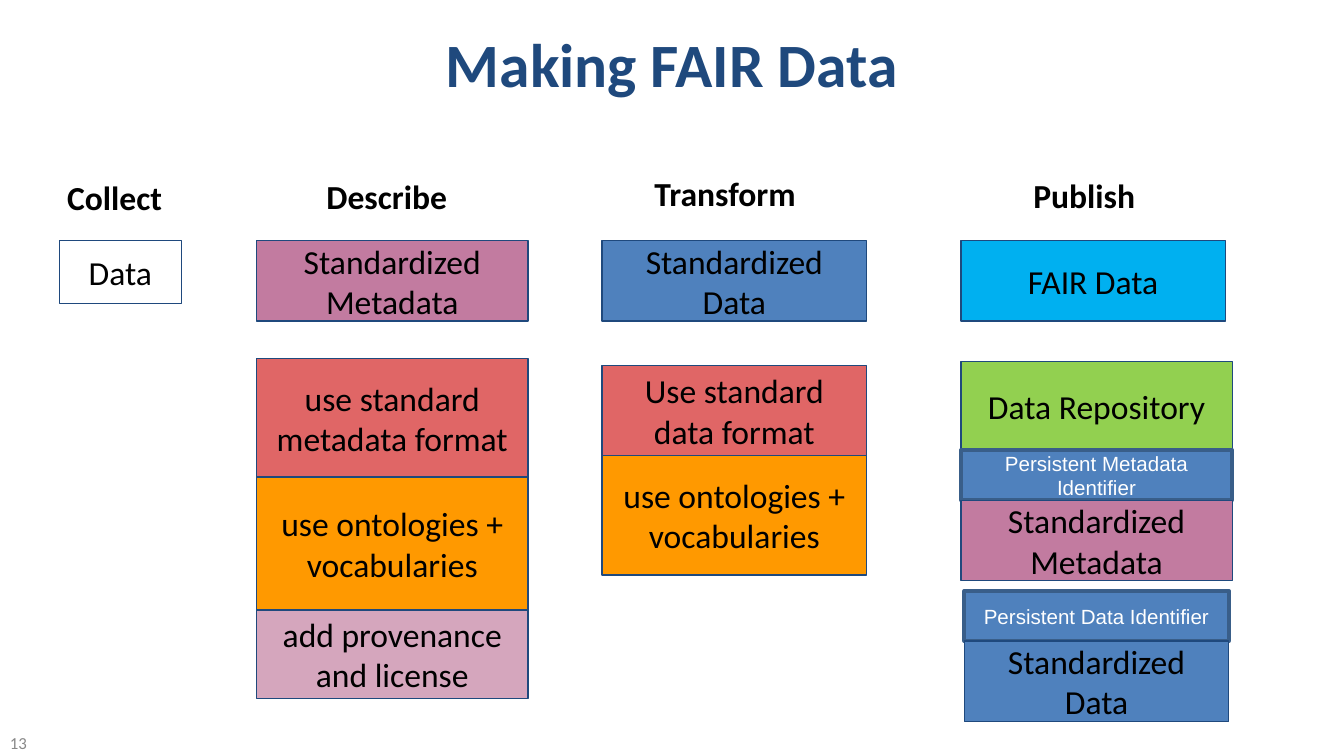
from pptx import Presentation
from pptx.dml.color import RGBColor
from pptx.enum.shapes import MSO_SHAPE
from pptx.enum.text import MSO_ANCHOR, PP_ALIGN
from pptx.util import Cm, Pt

COLORS = {
    "navy": "1F497D", "black": "000000", "white": "FFFFFF", "gray": "888888",
    "red": "E06666", "orange": "FF9900", "mauve": "C27BA0", "pink": "D5A6BD",
    "blue": "4F81BD", "dark blue": "395E89", "sky": "00B0F0", "green": "92D050",
}
WIDE_INSET = (0.25, 0.25)
TIGHT_INSET = (0.19, 0.1)
ROW_TOP = 4.55
ROW_HEIGHT = 1.52
HEADING_HEIGHT = 1.27


def color(name):
    return RGBColor.from_string(COLORS[name])


def write(shape, text, size=18, font="Calibri", ink="black", bold=False,
          align=PP_ALIGN.CENTER, anchor=MSO_ANCHOR.MIDDLE, inset=WIDE_INSET):
    """Fill a shape with text, one paragraph for each line."""
    frame = shape.text_frame
    frame.word_wrap = True
    frame.vertical_anchor = anchor
    frame.margin_left = frame.margin_right = Cm(inset[0])
    frame.margin_top = frame.margin_bottom = Cm(inset[1])
    for index, line in enumerate(text.split("\n")):
        para = frame.paragraphs[0] if index == 0 else frame.add_paragraph()
        para.alignment = align
        span = para.add_run()
        span.text = line
        span.font.name = font
        span.font.size = Pt(size)
        span.font.bold = bold
        span.font.color.rgb = color(ink)


def add_text(page, box, text, **style):
    write(page.shapes.add_textbox(*map(Cm, box)), text, **style)


def add_block(page, box, text, fill, outline="navy", weight=0.75, **style):
    block = page.shapes.add_shape(MSO_SHAPE.RECTANGLE, *map(Cm, box))
    block.shadow.inherit = False
    block.fill.solid()
    block.fill.fore_color.rgb = color(fill)
    block.line.color.rgb = color(outline)
    block.line.width = Pt(weight)
    write(block, text, **style)


def add_identifier(page, box, text):
    add_block(page, box, text, "blue", outline="dark blue", weight=2,
              size=11, font="Arial", ink="white", inset=TIGHT_INSET)


def add_stack(page, left, top, width, parts):
    """Pile blocks downwards without gaps; a part without a fill is an identifier."""
    for text, fill, height in parts:
        box = (left, top, width, height)
        if fill:
            add_block(page, box, text, fill)
        else:
            add_identifier(page, box, text)
        top += height


def add_title(page, box):
    title = page.shapes.title
    title.left, title.top, title.width, title.height = map(Cm, box)
    write(title, "Making FAIR Data", size=33, ink="navy", bold=True, inset=TIGHT_INSET)


def add_stage(page, heading, heading_box, result, result_box, fill):
    """Heading of a step with the result it yields."""
    add_text(page, (*heading_box, HEADING_HEIGHT), heading, bold=True,
             align=PP_ALIGN.LEFT, anchor=MSO_ANCHOR.TOP)
    add_block(page, result_box, result, fill)


def add_collect(page, left):
    add_stage(page, "Collect", (1.02, 3.1, 2.87),
              "Data", (left, ROW_TOP, 2.31, 1.19), "white")


def add_describe(page, left, width):
    add_stage(page, "Describe", (5.92, 3.07, 2.87),
              "Standardized Metadata", (left, ROW_TOP, width, ROW_HEIGHT), "mauve")
    add_stack(page, left, 6.78, width, [
        ("use standard\nmetadata format", "red", 2.24),
        ("use ontologies + vocabularies", "orange", 2.51),
        ("add provenance and license", "pink", 1.68),
    ])


def add_transform(page, left, width):
    add_stage(page, "Transform", (12.12, 3.02, 3.5),
              "Standardized Data", (left, ROW_TOP, width, ROW_HEIGHT), "blue")
    add_stack(page, left, 6.91, width, [
        ("Use standard\ndata format", "red", 1.7),
        ("use ontologies + vocabularies", "orange", 2.26),
    ])


def add_publish(page, left, width):
    narrow = 5
    add_stage(page, "Publish", (19.28, 3.05, 2.87),
              "FAIR Data", (left, ROW_TOP, narrow, ROW_HEIGHT), "sky")
    add_stack(page, left, 6.83, width, [
        ("Data Repository", "green", 1.68),
        ("Persistent Metadata Identifier", None, 0.95),
        ("Standardized Metadata", "mauve", ROW_HEIGHT),
    ])
    add_stack(page, left + (width - narrow) / 2, 11.17, narrow, [
        ("Persistent Data Identifier", None, 0.95),
        ("Standardized Data", "blue", ROW_HEIGHT),
    ])


def main():
    deck = Presentation()
    deck.slide_width, deck.slide_height = Cm(25.4), Cm(14.29)
    page = deck.slides.add_slide(deck.slide_layouts[5])

    add_title(page, (1.27, 0, 22.86, 2.39))
    # The four steps, from left to right
    add_collect(page, 1.12)
    add_describe(page, 4.85, 5.13)
    add_transform(page, 11.38, 5)
    add_publish(page, 18.16, 5.13)
    # Page number
    add_text(page, (0, 13.82, 5.92, 0.46), "13", size=9, ink="gray",
             align=PP_ALIGN.LEFT, inset=TIGHT_INSET)

    deck.save("out.pptx")


if __name__ == "__main__":
    main()
